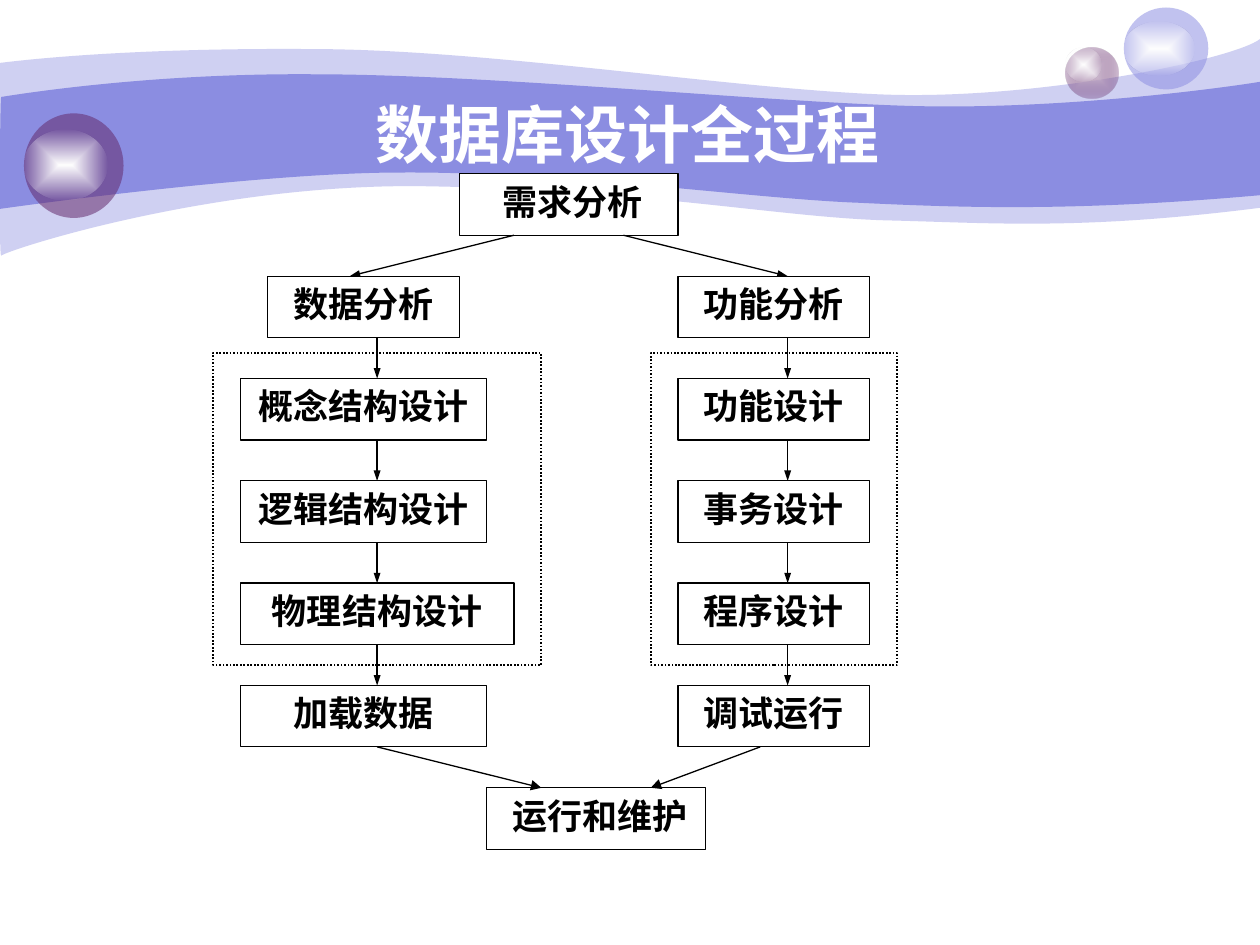
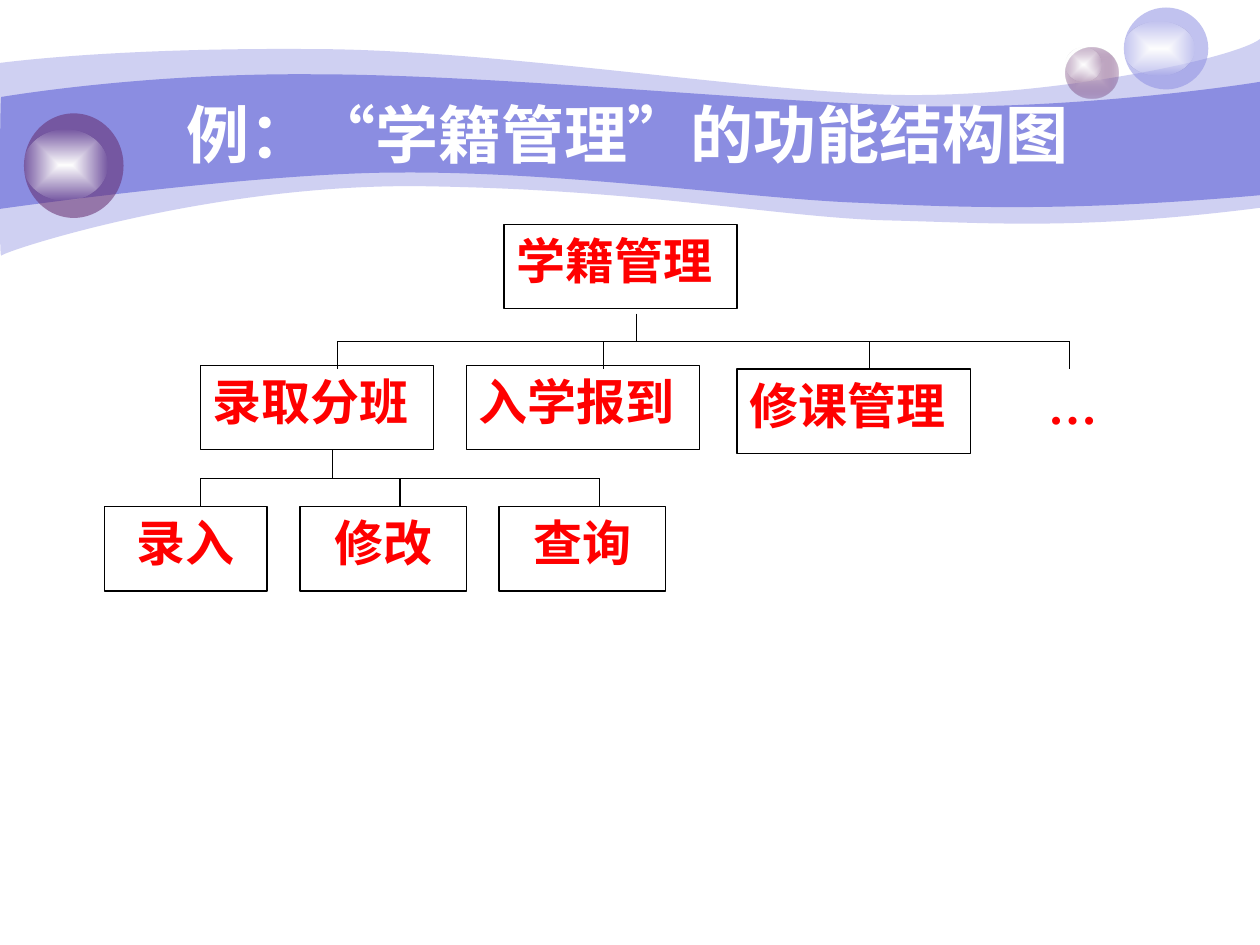
from lxml.etree import SubElement
from pptx import Presentation
from pptx.dml.color import RGBColor
from pptx.enum.dml import MSO_LINE
from pptx.enum.shapes import MSO_CONNECTOR, MSO_SHAPE
from pptx.enum.text import MSO_ANCHOR, PP_ALIGN
from pptx.oxml.ns import qn
from pptx.util import Inches, Pt

WHITE = RGBColor(0xFF, 0xFF, 0xFF)
BLACK = RGBColor(0, 0, 0)
RED = RGBColor(0xFF, 0, 0)
LAVENDER = RGBColor(0x8B, 0x8D, 0xE1)
PURPLE = RGBColor(0x63, 0x27, 0x69)
PALE_PURPLE = RGBColor(0xD7, 0xC8, 0xD9)

HEADING_FONT = "Arial"
BODY_FONT = "Times New Roman"

OUTER_WAVE = [
    [(0, 0.5)],
    [(0.24, 0.47), (1.07, 0.38), (2.47, 0.39)],
    [(3.86, 0.39), (5.75, 0.7), (6.99, 0.75)],
    [(8.22, 0.8), (9.8, 0.47), (10, 0.31)],
    [(10, 1.65)],
    [(8.58, 1.83), (7.87, 1.77), (7.05, 1.75)],
    [(6.22, 1.73), (5.15, 1.51), (3.43, 1.48)],
    [(1.72, 1.44), (0.04, 1.99), (0.01, 2.03)],
    [(-0.01, 2.08), (0, 0.75), (0, 0.5)],
]
INNER_WAVE = [
    [(0.01, 0.77)],
    [(0.02, 0.77), (1.1, 0.58), (2.48, 0.59)],
    [(3.86, 0.59), (5.95, 0.8), (7.18, 0.84)],
    [(8.41, 0.88), (9.76, 0.69), (10, 0.65)],
    [(10, 1.55)],
    [(8.53, 1.68), (7.65, 1.65), (6.82, 1.61)],
    [(5.99, 1.58), (4.47, 1.36), (3.17, 1.37)],
    [(2.03, 1.37), (-0.02, 1.66), (-0.01, 1.66)],
    [(0, 1.66), (0, 0.77), (0.01, 0.77)],
]


def write_text(shape, runs, size, color, font=BODY_FONT, align=PP_ALIGN.CENTER,
               anchor=MSO_ANCHOR.TOP):
    frame = shape.text_frame
    frame.word_wrap = True
    frame.vertical_anchor = anchor
    paragraph = frame.paragraphs[0]
    paragraph.alignment = align
    for words, run_font in [(runs, font)] if isinstance(runs, str) else runs:
        run = paragraph.add_run()
        run.text = words
        run.font.name = run_font
        run.font.size = Pt(size)
        run.font.bold = True
        run.font.color.rgb = color


def set_alpha(shape, percent):
    last_color = shape.element.spPr.findall(".//" + qn("a:srgbClr"))[-1]
    SubElement(last_color, qn("a:alpha"), val=str(percent * 1000))


def fill_solid(shape, color, alpha=100):
    shape.fill.solid()
    shape.fill.fore_color.rgb = color
    if alpha < 100:
        set_alpha(shape, alpha)


def fill_glow(shape, inner, outer, outer_alpha):
    shape.fill.gradient()
    for stop, color in zip(shape.fill.gradient_stops, (inner, outer)):
        stop.color.rgb = color
    set_alpha(shape, outer_alpha)
    gradient = shape.element.spPr.find(qn("a:gradFill"))
    gradient.remove(gradient.find(qn("a:lin")))
    spread = SubElement(gradient, qn("a:path"), path="rect")
    SubElement(spread, qn("a:fillToRect"), l="50000", t="50000", r="50000", b="50000")


def add_plain(parent, kind, left, top, width, height):
    shape = parent.shapes.add_shape(
        kind, Inches(left), Inches(top), Inches(width), Inches(height))
    shape.shadow.inherit = False
    shape.line.fill.background()
    return shape


def add_box(parent, left, top, width, height, words, outlined=True, **text_format):
    box = add_plain(parent, MSO_SHAPE.RECTANGLE, left, top, width, height)
    fill_solid(box, WHITE)
    if outlined:
        box.line.color.rgb = BLACK
        box.line.width = Pt(0.75)
    write_text(box, words, **text_format)


def add_line(parent, start, end, arrow_width=None):
    line = parent.shapes.add_connector(
        MSO_CONNECTOR.STRAIGHT, *(Inches(value) for value in (*start, *end)))
    line.line.color.rgb = BLACK
    line.line.width = Pt(0.75)
    if arrow_width:
        outline = line.element.spPr.find(qn("a:ln"))
        SubElement(outline, qn("a:tailEnd"), type="triangle", w=arrow_width)
    SubElement(line.element.spPr, qn("a:effectLst"))


def add_wave(slide, segments, alpha):
    corners = [(Inches(x), Inches(y)) for segment in segments for x, y in segment]
    builder = slide.shapes.build_freeform(*corners[0])
    builder.add_line_segments(corners[1:], close=True)
    wave = builder.convert_to_shape()
    wave.shadow.inherit = False
    wave.line.fill.background()
    fill_solid(wave, LAVENDER, alpha)

    outline = wave.element.spPr.find(".//" + qn("a:path"))
    straight_steps = iter(outline.findall(qn("a:lnTo")))
    for segment in segments[1:]:
        steps = [next(straight_steps) for _ in segment]
        if len(steps) == 3:
            curve = SubElement(outline, qn("a:cubicBezTo"))
            steps[0].addprevious(curve)
            for step in steps:
                curve.append(step[0])
                outline.remove(step)


def add_bubble(slide, left, top, width, height, glint):
    group = slide.shapes.add_group_shape()
    bubble = add_plain(group, MSO_SHAPE.OVAL, left, top, width, height)
    drop, glint_width, glint_height = glint
    shine = add_plain(group, MSO_SHAPE.OVAL, left, top + drop, glint_width, glint_height)
    fill_glow(shine, WHITE, WHITE, 0)
    return bubble


def add_themed_slide(deck, title):
    slide = deck.slides.add_slide(deck.slide_layouts[6])
    add_wave(slide, OUTER_WAVE, 41)
    add_wave(slide, INNER_WAVE, 100)
    small = add_bubble(slide, 8.46, 0.38, 0.42, 0.4, (0, 0.28, 0.27))
    fill_glow(small, PALE_PURPLE, PURPLE, 31)
    light = add_bubble(slide, 8.92, 0.06, 0.67, 0.65, (0.11, 0.56, 0.43))
    fill_solid(light, LAVENDER, 53)
    dark = add_bubble(slide, 0.19, 0.9, 0.79, 0.83, (0.13, 0.66, 0.56))
    fill_solid(dark, PURPLE, 53)
    heading = slide.shapes.add_textbox(Inches(1), Inches(0.75), Inches(8.08), Inches(0.62))
    write_text(heading, title, size=36, color=WHITE, font=HEADING_FONT,
               anchor=MSO_ANCHOR.MIDDLE)
    return slide


def draw_design_flow(slide, left, top, width, height):
    column, row = width / 25, height / 26.4
    step_height, pitch = 2.4, 4

    def at(x, y):
        return left + x * column, top + y * row

    def step(level, x, span, words):
        add_box(slide, *at(x, level * pitch), span * column, step_height * row, words,
                size=20, color=BLACK)

    def arrow(level, start_x, end_x, head="sm"):
        add_line(slide, at(start_x, level * pitch + step_height),
                 at(end_x, (level + 1) * pitch), head)

    data_steps = [(2, 7, "数据分析"), (1, 9, "概念结构设计"), (1, 9, "逻辑结构设计"),
                  (1, 10, "物理结构设计"), (1, 9, "加载数据")]
    function_steps = [(17, 7, words) for words in
                      ("功能分析", "功能设计", "事务设计", "程序设计", "调试运行")]
    step(6, 10, 8, " 运行和维护")
    arrow(5, 6, 12, "med")
    arrow(5, 20, 16, "med")
    step(0, 9, 8, " 需求分析")
    for steps in (data_steps, function_steps):
        for level, (x, span, words) in enumerate(steps, 1):
            step(level, x, span, words)
    arrow(0, 11, 5)
    arrow(0, 15, 21)
    for axis in (21, 6):
        for level in range(1, 5):
            arrow(level, axis, axis)
    for x, span in ((0, 12), (16, 9)):
        stage = add_plain(slide, MSO_SHAPE.RECTANGLE, *at(x, 7), span * column, 12.2 * row)
        stage.fill.background()
        stage.line.color.rgb = BLACK
        stage.line.width = Pt(1)
        stage.line.dash_style = MSO_LINE.ROUND_DOT


def draw_bracket(parent, stem_x, top, height, drops):
    bus, bottom = top + height / 2, top + height
    add_line(parent, (stem_x, top), (stem_x, bus))
    add_line(parent, (drops[0], bus), (drops[-1], bus))
    for x in drops:
        add_line(parent, (x, bus), (x, bottom))


def draw_function_tree(slide, left, top):
    tree = slide.shapes.add_group_shape()
    box_height, level = 0.67, 1.12

    def node(x, y, width, words, align=PP_ALIGN.JUSTIFY, outlined=True):
        add_box(tree, left + x, top + y, width, box_height, words, outlined,
                size=28, color=RED, align=align)

    node(3.17, 0, 1.85, "学籍管理")
    node(0.76, level, 1.85, "录取分班")
    node(2.87, level, 1.85, "入学报到")
    node(7.39, level + 0.03, 0.79, "…", outlined=False)
    for x, width, words in ((0, 1.29, "录入"), (1.55, 1.32, "修改"), (3.13, 1.32, "查询")):
        node(x, 2 * level, width, words, align=PP_ALIGN.CENTER)
    task_drops = [left + 0.76 + 3.17 * i / 2 for i in range(3)]
    draw_bracket(tree, left + 1.81, top + level + box_height, 0.45, task_drops)

    node(5.02, level + 0.03, 1.85, "修课管理")
    module_drops = [left + 1.85 + 2.11 * i for i in range(3)] + [left + 7.66]
    draw_bracket(tree, left + 4.22, top + 0.71, 0.44, module_drops)


deck = Presentation()
deck.slide_width, deck.slide_height = Inches(10), Inches(7.5)

process_slide = add_themed_slide(deck, "数据库设计全过程 ")
draw_design_flow(process_slide, 1.69, 1.38, 5.43, 5.36)

example_slide = add_themed_slide(deck, [
    ("例：", HEADING_FONT), ("“", BODY_FONT), ("学籍管理", HEADING_FONT),
    ("”", BODY_FONT), ("的功能结构图 ", HEADING_FONT)])
draw_function_tree(example_slide, 0.83, 1.78)

deck.save("out.pptx")
